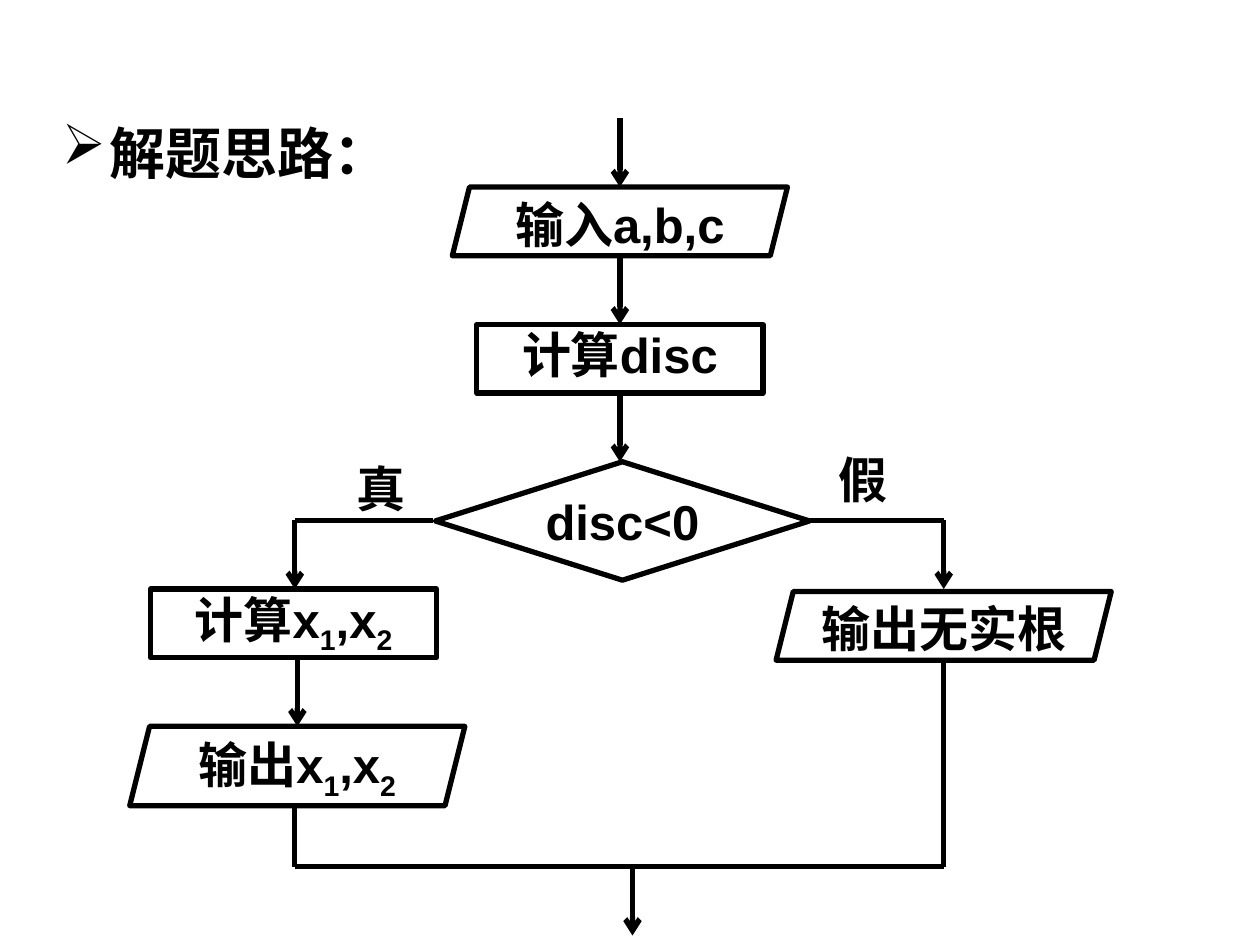
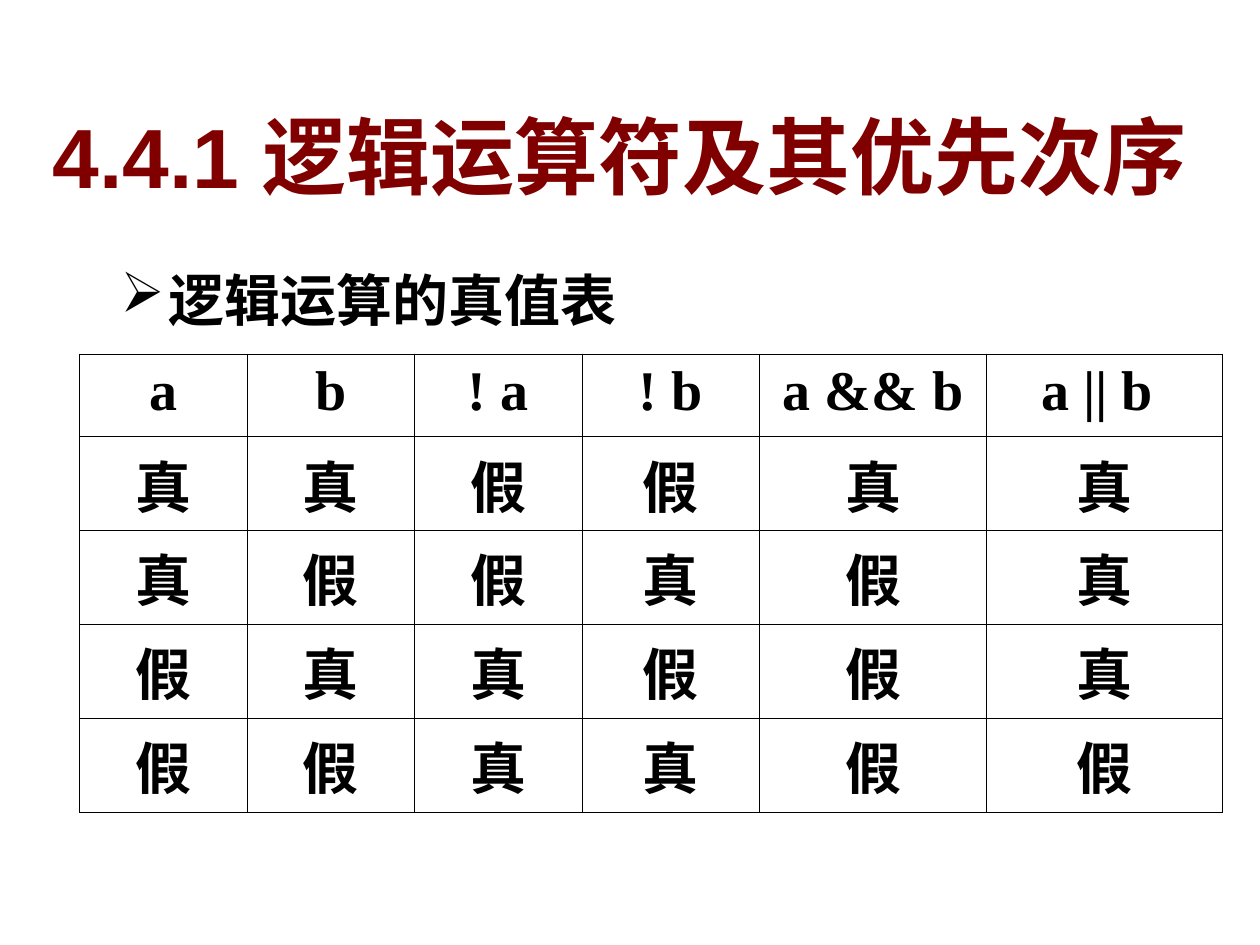
from lxml.etree import SubElement
from pptx import Presentation
from pptx.dml.color import RGBColor
from pptx.enum.shapes import MSO_CONNECTOR, MSO_SHAPE
from pptx.enum.text import MSO_ANCHOR, MSO_AUTO_SIZE, PP_ALIGN
from pptx.oxml import parse_xml
from pptx.oxml.ns import nsdecls, qn
from pptx.util import Inches, Pt

BLACK, WHITE, MAROON = "000000", "FFFFFF", "800000"
HEADING = {"size": Pt(32), "name": "DejaVu Sans", "bold": True}
SUBHEADING = {"size": Pt(32), "name": "Arial", "bold": True}
TITLE = {"size": Pt(48), "name": "Arial", "bold": True}
FLOW = {"size": Pt(28), "name": "Arial", "bold": True}
TABLE = {"size": Pt(32), "name": "Times New Roman", "bold": True}

# Flowchart grid: three vertical axes, one step for every box and arrow
LEFT, MAIN, RIGHT = 2.34, 4.92, 7.49
STEP = 0.545
START, BRANCH, MERGE = 0.94, 4.13, 6.88
DATA, PROCESS, DECISION = (MSO_SHAPE.PARALLELOGRAM, MSO_SHAPE.FLOWCHART_PROCESS,
                           MSO_SHAPE.FLOWCHART_DECISION)
WIDTHS = {DATA: 2.66, PROCESS: 2.27, DECISION: 2.97}


def main_row(count):
    return START + count * STEP


def branch_row(count):
    return BRANCH + count * STEP


# kind, text (_ marks a subscript), axis, top, height
NODES = [
    (DATA, "输入a,b,c", MAIN, main_row(1), STEP),
    (PROCESS, "计算disc", MAIN, main_row(3), STEP),
    (DECISION, "disc<0", MAIN + 0.02, main_row(5), 0.94),
    (PROCESS, "计算x_1,x_2", LEFT - 0.01, branch_row(1), STEP),
    (DATA, "输出无实根", RIGHT, branch_row(1) + 0.02, STEP),
    (DATA, "输出x_1,x_2", LEFT + 0.02, branch_row(3), 0.63),
]
ARROWS = [(MAIN, main_row(0)), (MAIN, main_row(2)), (MAIN, main_row(4)),
          (LEFT, branch_row(0)), (LEFT + 0.02, branch_row(2)),
          (RIGHT, branch_row(0)), (5.02, MERGE)]
LINES = [
    (LEFT, BRANCH, 3.44, BRANCH),
    (6.41, BRANCH, RIGHT, BRANCH),
    (LEFT, MERGE, RIGHT, MERGE),
    (RIGHT, branch_row(2) + 0.02, RIGHT, MERGE),
    (LEFT, 6.41, LEFT, MERGE),
]
BRANCH_LABELS = [("真", 2.73, 3.59), ("假", 6.56, 3.52)]

TRUTH_TABLE = [
    ("a", "b", "! a", "! b", "a && b", "a || b "),
    ("真", "真", "假", "假", "真", "真"),
    ("真", "假", "假", "真", "假", "真"),
    ("假", "真", "真", "假", "假", "真"),
    ("假", "假", "真", "真", "假", "假"),
]
COLUMN_WIDTHS = [1.33, 1.33, 1.33, 1.41, 1.8, 1.87]
ROW_HEIGHT = 0.656


def color(value):
    return RGBColor.from_string(value)


def inches(*values):
    return [Inches(value) for value in values]


def write(para, text, style, fill=BLACK, align=None):
    """Fill a paragraph; the character after each _ is set as a subscript."""
    para.alignment = align
    first, *rest = text.split("_")
    pieces = [(first, False)]
    for part in rest:
        pieces += [(part[0], True), (part[1:], False)]
    for piece, subscript in pieces:
        if not piece:
            continue
        span = para.add_run()
        span.text = piece
        for name, value in style.items():
            setattr(span.font, name, value)
        span.font.color.rgb = color(fill)
        if subscript:
            span.font._element.set("baseline", "-25000")


def write_bullet(box, text, style):
    frame = box.text_frame
    frame.word_wrap = True
    frame.auto_size = MSO_AUTO_SIZE.NONE
    frame.vertical_anchor = MSO_ANCHOR.TOP
    para = frame.paragraphs[0]
    para.line_spacing = 1.2
    props = para._p.get_or_add_pPr()
    props.set("marL", str(Inches(0.38)))
    props.set("indent", str(-Inches(0.38)))
    bullet_color = SubElement(props, qn("a:buClr"))
    SubElement(bullet_color, qn("a:srgbClr")).set("val", BLACK)
    SubElement(props, qn("a:buChar")).set("char", "➢")
    write(para, text, style, align=PP_ALIGN.LEFT)


def place(box, *bounds):
    box.left, box.top, box.width, box.height = inches(*bounds)


def add_line(page, x1, y1, x2, y2, arrow=False):
    line = page.shapes.add_connector(MSO_CONNECTOR.STRAIGHT, *inches(x1, y1, x2, y2))
    line.line.color.rgb = color(BLACK)
    line.line.width = Pt(3)
    if arrow:
        SubElement(line.line._get_or_add_ln(), qn("a:tailEnd")).set("type", "arrow")
    SubElement(line._element.spPr, qn("a:effectLst"))


def add_node(page, kind, text, axis, top, height):
    width = WIDTHS[kind]
    node = page.shapes.add_shape(kind, *inches(axis - width / 2, top, width, height))
    node.shadow.inherit = False
    node.fill.solid()
    node.fill.fore_color.rgb = color(WHITE)
    node.line.color.rgb = color(BLACK)
    node.line.width = Pt(3)
    frame = node.text_frame
    frame.word_wrap = False
    frame.vertical_anchor = MSO_ANCHOR.TOP
    for side in ("left", "top", "right", "bottom"):
        setattr(frame, f"margin_{side}", 0)
    write(frame.paragraphs[0], text, FLOW, align=PP_ALIGN.CENTER)


def add_title_shadow(para):
    for span in para.runs:
        span.font.fill._xPr.find(qn("a:solidFill")).addnext(parse_xml(
            f'<a:effectLst {nsdecls("a")}><a:outerShdw dist="38100" dir="2700000">'
            '<a:srgbClr val="C0C0C0"/></a:outerShdw></a:effectLst>'))


def format_cell(cell, text):
    cell.margin_left = cell.margin_right = Inches(0.08)
    cell.margin_top = cell.margin_bottom = Inches(0.05)
    write(cell.text_frame.paragraphs[0], text, TABLE, align=PP_ALIGN.CENTER)
    props = cell._tc.get_or_add_tcPr()
    for side in ("lnL", "lnR", "lnT", "lnB"):
        border = SubElement(props, qn(f"a:{side}"))
        border.set("w", str(Pt(0.45)))
        fill = SubElement(border, qn("a:solidFill"))
        SubElement(fill, qn("a:srgbClr")).set("val", BLACK)
    cell.fill.background()


def build_flowchart(page):
    place(page.shapes.title, 0.39, 0.78, 2.97, 0.86)
    write_bullet(page.shapes.title, "解题思路:".replace(":", "："), HEADING)
    for node in NODES:
        add_node(page, *node)
    for x, y in ARROWS:
        add_line(page, x, y, x, y + STEP, arrow=True)
    for line in LINES:
        add_line(page, *line)
    for text, left, top in BRANCH_LABELS:
        box = page.shapes.add_textbox(*inches(left, top, 0.55, 0.57))
        box.text_frame.word_wrap = True
        write(box.text_frame.paragraphs[0], text, FLOW)


def build_truth_table(page):
    title = page.shapes.title
    place(title, 0.23, 0.55, 9.38, 1.36)
    title.text_frame.auto_size = MSO_AUTO_SIZE.NONE
    title.text_frame.vertical_anchor = MSO_ANCHOR.MIDDLE
    para = title.text_frame.paragraphs[0]
    write(para, "4.4.1 逻辑运算符及其优先次序", TITLE, MAROON, PP_ALIGN.CENTER)
    add_title_shadow(para)

    rows, columns = len(TRUTH_TABLE), len(COLUMN_WIDTHS)
    table = page.shapes.add_table(rows, columns, *inches(
        0.63, 2.81, sum(COLUMN_WIDTHS), rows * ROW_HEIGHT)).table
    table.first_row = table.horz_banding = False
    for column, width in zip(table.columns, COLUMN_WIDTHS):
        column.width = Inches(width)
    for r, values in enumerate(TRUTH_TABLE):
        table.rows[r].height = Inches(ROW_HEIGHT)
        for c, text in enumerate(values):
            format_cell(table.cell(r, c), text)

    box = page.shapes.add_textbox(*inches(0.86, 1.95, 4.77, 0.7))
    write_bullet(box, "逻辑运算的真值表", SUBHEADING)


def main():
    deck = Presentation()
    deck.slide_width, deck.slide_height = inches(10, 7.5)
    title_only = deck.slide_layouts[5]
    for build in (build_flowchart, build_truth_table):
        build(deck.slides.add_slide(title_only))
    deck.save("out.pptx")


if __name__ == "__main__":
    main()
